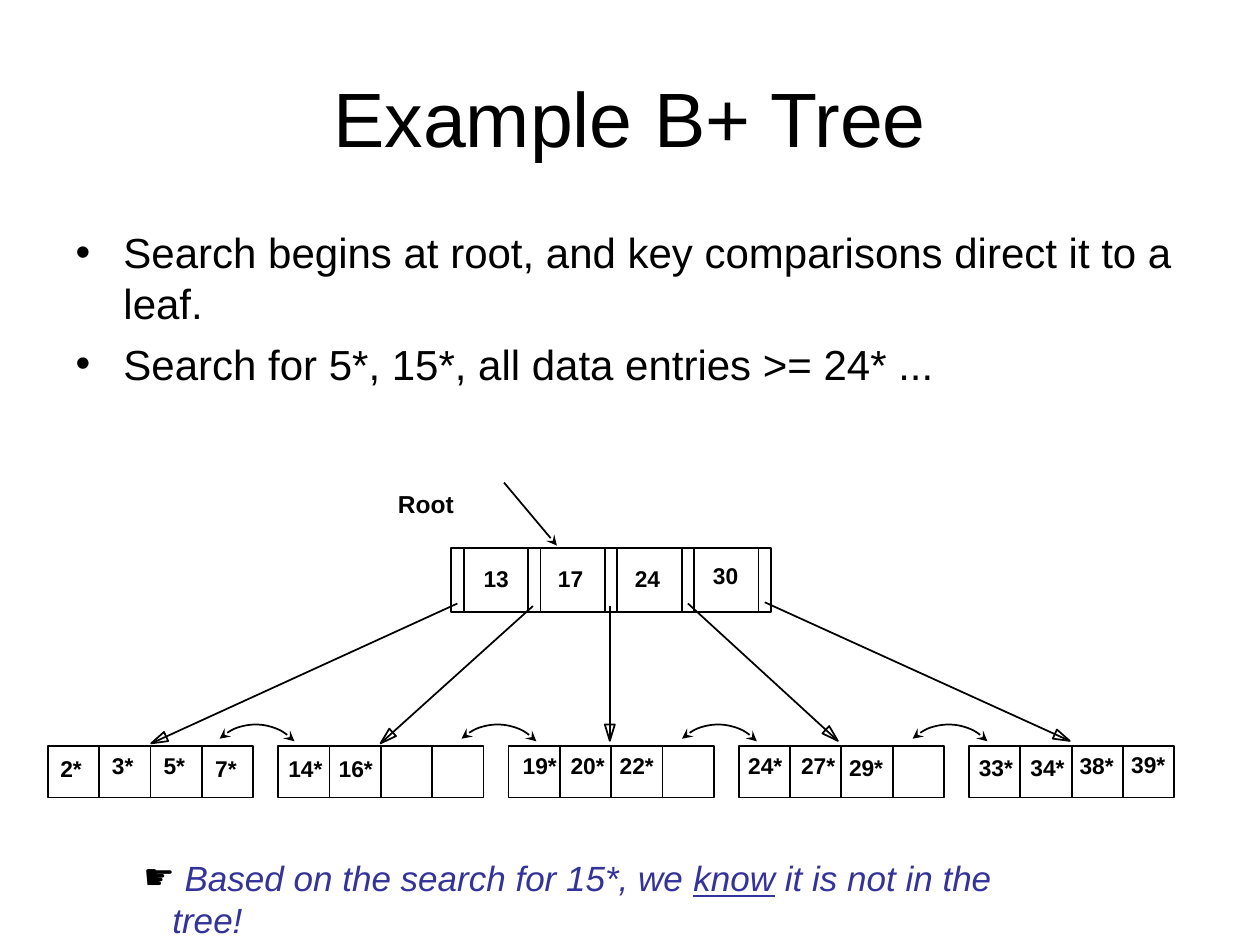
"""Build a slide that shows a search in an example B+ tree."""
import math

import pptx
import pptx.dml.color
import pptx.enum.shapes
import pptx.enum.text
import pptx.oxml.ns
import pptx.util
from lxml import etree

Inches, Pt = pptx.util.Inches, pptx.util.Pt
SHAPE = pptx.enum.shapes.MSO_SHAPE
BLACK = pptx.dml.color.RGBColor(0x00, 0x00, 0x00)
BLUE = pptx.dml.color.RGBColor(0x33, 0x33, 0x99)

TITLE = "Example B+ Tree"
POINTS = [
    "Search begins at root, and key comparisons direct it to a leaf.",
    "Search for 5*, 15*, all data entries >= 24* ...",
]
NOTE = [
    (" ", {}),
    ("Based on the search for 15*, we ", {"italic": True}),
    ("know", {"italic": True, "underline": True}),
    (" it is not in the tree!", {"italic": True}),
]
KEYS = [("13", 3.74, 4.43), ("17", 4.33, 4.43), ("24", 4.94, 4.43), ("30", 5.56, 4.41)]
LEAVES = [
    [("2*", 0.38, 5.94), ("3*", 0.79, 5.92), ("5*", 1.2, 5.92), ("7*", 1.61, 5.94)],
    [("14*", 2.19, 5.94), ("16*", 2.59, 5.94)],
    [("19*", 4.05, 5.92), ("20*", 4.43, 5.92), ("22*", 4.82, 5.92)],
    [("24*", 5.84, 5.92), ("27*", 6.26, 5.92), ("29*", 6.64, 5.93)],
    [("33*", 7.67, 5.93), ("34*", 8.08, 5.93), ("38*", 8.47, 5.92), ("39*", 8.88, 5.91)],
]
WIDTHS = {2: 0.38, 3: 0.47}
LINKS = [
    (3.63, 4.79, 1.2, 5.9),
    (4.23, 4.81, 3.02, 5.9),
    (4.84, 4.81, 4.84, 5.88),
    (5.46, 4.79, 6.65, 5.88),
    (6.07, 4.78, 8.49, 5.88),
]
ARCS = [2.03, 3.95, 5.7, 7.53]

ROOT = {"left": 3.58, "top": 4.35, "step": 0.61, "slot": 0.1, "high": 0.51}
LEAF = {"left": 0.38, "top": 5.92, "pitch": 7.31 / 4, "cell": 1.63 / 4, "high": 0.41}
RADIUS = 0.42
HEAD = (0.13, 0.04)


def style(font, **extra):
    base = {"name": "Arial", "bold": False}
    for name, value in {**base, **extra}.items():
        if name == "color":
            font.color.rgb = value
        else:
            setattr(font, name, value)


def add(parent, tag, **attrs):
    return etree.SubElement(parent, pptx.oxml.ns.qn(tag), **attrs)


def bullet(para, char, indent):
    props = para._p.get_or_add_pPr()
    props.set("marL", str(Inches(indent)))
    props.set("indent", str(-Inches(indent)))
    add(add(props, "a:buClr"), "a:srgbClr", val=str(BLACK))
    add(props, "a:buFont", typeface="Arial")
    add(props, "a:buChar", char=char)


def place(shape, *box):
    for name, value in zip(("left", "top", "width", "height"), box):
        setattr(shape, name, Inches(value))


def outline(shape):
    shape.line.color.rgb = BLACK
    shape.line.width = Pt(1)


def tips(shape, *ends):
    line = shape.line._get_or_add_ln()
    for end in ends:
        add(line, end, type="stealth", w="med", len="med")


def hollow(shape):
    shape.shadow.inherit = False
    shape.fill.background()
    outline(shape)


def cell(slide, *box):
    hollow(slide.shapes.add_shape(SHAPE.RECTANGLE, *map(Inches, box)))


def straight(slide, *ends):
    line = slide.shapes.add_connector(
        pptx.enum.shapes.MSO_CONNECTOR.STRAIGHT, *map(Inches, ends))
    outline(line)
    add(line._element.spPr, "a:effectLst")
    return line


def label(slide, text, left, top, width, size=13):
    box = slide.shapes.add_textbox(*map(Inches, (left, top, width, 0.32)))
    box.text_frame.word_wrap = False
    para = box.text_frame.paragraphs[0]
    para.text = text
    style(para.font, size=Pt(size), bold=True, color=BLACK)


def pointer(slide, x1, y1, x2, y2):
    straight(slide, x1, y1, x2, y2)
    span = math.hypot(x2 - x1, y2 - y1)
    dx, dy = (x2 - x1) / span, (y2 - y1) / span
    size, half = HEAD
    base = [(x2 - dx * size - dy * side, y2 - dy * size + dx * side)
            for side in (half, -half)]
    build = slide.shapes.build_freeform(Inches(x2), Inches(y2))
    build.add_line_segments([(Inches(x), Inches(y)) for x, y in base], close=True)
    hollow(build.convert_to_shape())


def words(slide):
    title, body = slide.placeholders
    place(title, 0.5, 0.3, 9, 1.25)
    place(body, 0.5, 1.75, 9, 4.95)
    title.text = TITLE
    style(title.text_frame.paragraphs[0].font, size=Pt(44), color=BLACK)
    body.text = "\n".join(POINTS)
    body.text_frame.auto_size = pptx.enum.text.MSO_AUTO_SIZE.NONE
    for at, para in enumerate(body.text_frame.paragraphs):
        bullet(para, "•", 0.38)
        para.space_before = Pt(6 if at else 0)
        style(para.font, size=Pt(24), color=BLACK)

    box = slide.shapes.add_textbox(*map(Inches, (1.04, 6.75, 7.53, 0.43)))
    box.text_frame.word_wrap = True
    para = box.text_frame.paragraphs[0]
    bullet(para, "☛", 0.23)
    for text, extra in NOTE:
        run = para.add_run()
        run.text = text
        style(run.font, size=Pt(20), color=BLUE if extra else BLACK, **extra)


def tree(slide):
    left, top, step, slot, high = ROOT.values()
    for at in range(len(KEYS)):
        x = left + at * step
        cell(slide, x, top, step, high)
        straight(slide, x + slot, top, x + slot, top + high)
    cell(slide, left + len(KEYS) * step, top, slot, high)

    left, top, pitch, wide, high = LEAF.values()
    for at in range(len(LEAVES)):
        for col in range(4):
            cell(slide, left + at * pitch + col * wide, top, wide, high)

    for ends in LINKS:
        pointer(slide, *ends)
    for text, x, y in sum(LEAVES, KEYS):
        label(slide, text, x, y, 0.4 if y < 5 else WIDTHS[len(text)])
    label(slide, "Root", 3.06, 3.83, 0.65, 14)
    tips(straight(slide, 4, 3.83, 4.42, 4.33), "a:tailEnd")

    for x in ARCS:
        box = (x - RADIUS, 6.17 - RADIUS, 2 * RADIUS, 2 * RADIUS)
        arc = slide.shapes.add_shape(SHAPE.ARC, *map(Inches, box))
        arc.rotation = 317
        hollow(arc)
        tips(arc, "a:headEnd", "a:tailEnd")


def main():
    deck = pptx.Presentation()
    deck.slide_width, deck.slide_height = Inches(10), Inches(7.5)
    slide = deck.slides.add_slide(deck.slide_layouts[1])
    words(slide)
    tree(slide)
    deck.save("out.pptx")


if __name__ == "__main__":
    main()
